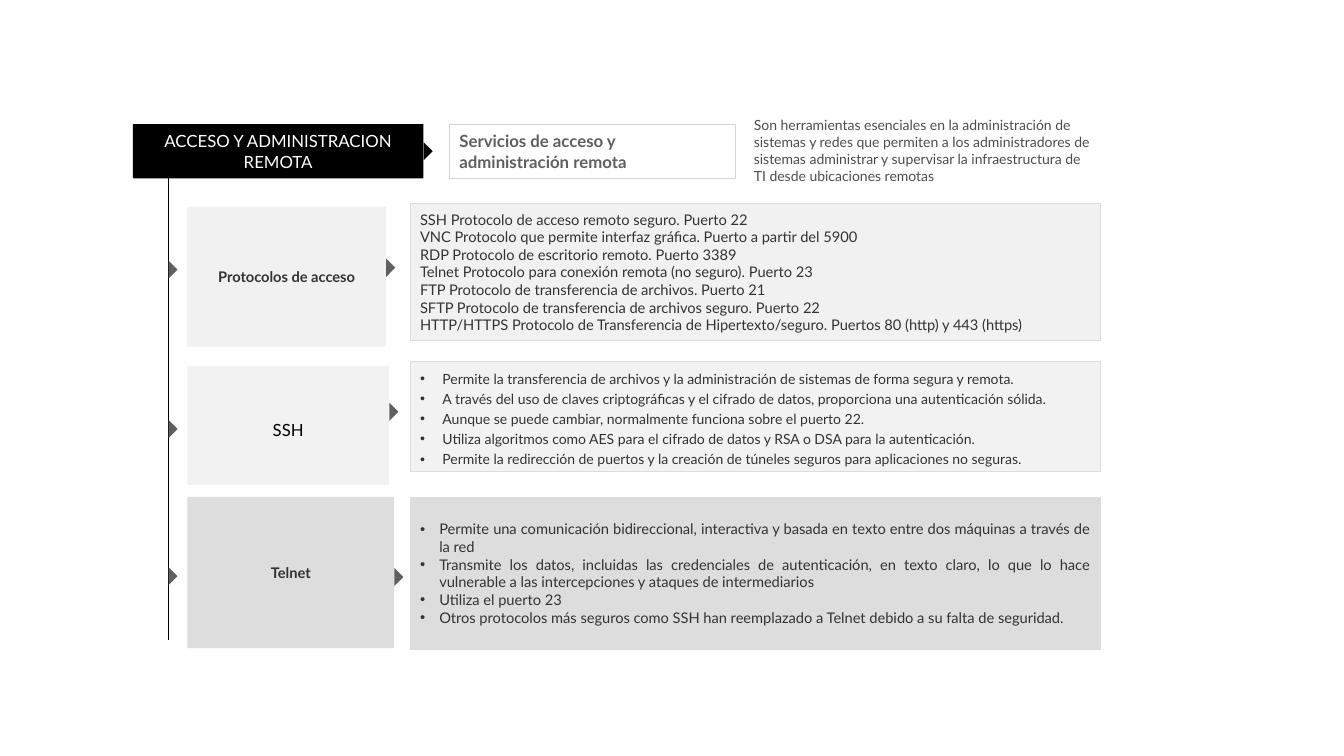
import pptx
import pptx.util
import pptx.dml.color
import pptx.enum.shapes
import pptx.enum.text
from dataclasses import dataclass
from lxml import etree

Pt = pptx.util.Pt
Shape = pptx.enum.shapes.MSO_SHAPE
Align = pptx.enum.text.PP_ALIGN
Anchor = pptx.enum.text.MSO_ANCHOR


@dataclass(frozen=True)
class Theme:
    font: str = "Lato"
    black: str = "000000"
    white: str = "FFFFFF"
    dark: str = "333333"
    soft: str = "4D4D4D"
    gray: str = "5F5F5F"
    frame: str = "D0D6D6"
    edge: str = "DDDDDD"
    pale: str = "F1F1F1"
    light: str = "F2F2F2"
    large: float = 12
    mid: float = 10.5
    small: float = 10


look = Theme()

HEAD = "ACCESO Y ADMINISTRACION REMOTA"
TOPIC = "Servicios de acceso y administración remota"
INTRO = ("Son herramientas esenciales en la administración de sistemas y redes que permiten a los "
         "administradores de sistemas administrar y supervisar la infraestructura de TI desde "
         "ubicaciones remotas")

ROWS = [
    dict(
        label="Protocolos de acceso", fill=look.pale, edge=0.5,
        side=(147.6, 141.8, 100.1), body=(145.4, 97.9), marks=(192.6, 191.2),
        tag=dict(size=look.mid, color=look.dark, bold=True),
        text=dict(size=look.mid),
        lines=[
            "SSH Protocolo de acceso remoto seguro. Puerto 22",
            "VNC Protocolo que permite interfaz gráfica. Puerto a partir del 5900",
            "RDP Protocolo de escritorio remoto. Puerto 3389",
            "Telnet Protocolo para conexión remota (no seguro). Puerto 23",
            "FTP Protocolo de transferencia de archivos. Puerto 21",
            "SFTP Protocolo de transferencia de archivos seguro. Puerto 22",
            "HTTP/HTTPS Protocolo de Transferencia de Hipertexto/seguro. Puertos 80 (http) y 443 (https)",
        ]),
    dict(
        label="SSH", fill=look.light, edge=0.75,
        side=(261.4, 144, 85), body=(258.5, 78.5), marks=(306.4, 294.1),
        tag=dict(size=look.large, color=look.black, space=1.4, wrap=False),
        text=dict(size=look.small, align=Align.JUSTIFY, space=1.2, indent=16, anchor=Anchor.TOP),
        lines=[
            "Permite la transferencia de archivos y la administración de sistemas de forma segura y remota.",
            "A través del uso de claves criptográficas y el cifrado de datos, proporciona una autenticación sólida.",
            "Aunque se puede cambiar, normalmente funciona sobre el puerto 22.",
            "Utiliza algoritmos como AES para el cifrado de datos y RSA o DSA para la autenticación.",
            "Permite la redirección de puertos y la creación de túneles seguros para aplicaciones no seguras.",
        ]),
    dict(
        label="Telnet", fill=look.edge, edge=0.5,
        side=(355, 147.6, 108), body=(355, 108.7), marks=(411.5, 412.2),
        tag=dict(size=look.mid, color=look.dark, bold=True),
        text=dict(size=look.mid, align=Align.JUSTIFY, indent=13.7),
        lines=[
            "Permite una comunicación bidireccional, interactiva y basada en texto entre dos máquinas a través de la red",
            "Transmite los datos, incluidas las credenciales de autenticación, en texto claro, lo que lo hace "
            "vulnerable a las intercepciones y ataques de intermediarios",
            "Utiliza el puerto 23",
            "Otros protocolos más seguros como SSH han reemplazado a Telnet debido a su falta de seguridad.",
        ]),
]

TOP, HIGH = 88.6, 38.9
HEAD_X, HEAD_W = 95, 207.4
STEM_X, STEM_END = 120.2, 457.2
SIDE_X = 133.9
BODY_X, BODY_W = 293, 493.2
MARK_W, MARK_H, MARK_GAP = 13, 6.5, 3.4

deck = pptx.Presentation()
deck.slide_width, deck.slide_height = Pt(960), Pt(540)
slide = deck.slides.add_slide(deck.slide_layouts[6])


def tint(code):
    return pptx.dml.color.RGBColor.from_string(code)


def draw(kind, left, top, wide, high, fill, edge=None, weight=0.75):
    shape = slide.shapes.add_shape(kind, Pt(left), Pt(top), Pt(wide), Pt(high))
    shape.shadow.inherit = False
    shape.fill.solid()
    shape.fill.fore_color.rgb = tint(fill)
    if edge:
        shape.line.color.rgb = tint(edge)
        shape.line.width = Pt(weight)
    else:
        shape.line.fill.background()
    return shape


def write(shape, lines, size, color=look.dark, bold=False, align=Align.LEFT,
          space=1, indent=0, anchor=Anchor.MIDDLE, wrap=True):
    frame = shape.text_frame
    frame.word_wrap = wrap
    frame.vertical_anchor = anchor
    frame.text = "\n".join(lines)
    for para in frame.paragraphs:
        para.alignment = align
        para.line_spacing = space
        para.font.name = look.font
        para.font.size = Pt(size)
        para.font.bold = bold
        para.font.color.rgb = tint(color)
        if indent:
            props = para._p.get_or_add_pPr()
            props.set("marL", str(Pt(indent)))
            props.set("indent", str(-Pt(indent)))
            for tag, name, value in (("buFont", "typeface", "Arial"), ("buChar", "char", "•")):
                node = pptx.oxml.ns.qn("a:" + tag)
                props.insert_element_before(etree.SubElement(props, node, {name: value}), "a:defRPr")


def mark(edge, mid, fill=look.gray):
    arrow = draw(Shape.ISOSCELES_TRIANGLE, edge + MARK_GAP - MARK_W / 2,
                 mid - MARK_H / 2, MARK_W, MARK_H, fill)
    arrow.rotation = 90


stem = slide.shapes.add_connector(pptx.enum.shapes.MSO_CONNECTOR.STRAIGHT,
                                  Pt(STEM_X), Pt(TOP), Pt(STEM_X), Pt(STEM_END))
stem.line.color.rgb = tint(look.black)
stem.line.width = Pt(0.75)
etree.SubElement(stem._element.spPr, pptx.oxml.ns.qn("a:effectLst"))

write(draw(Shape.RECTANGLE, HEAD_X, TOP, HEAD_W, HIGH, look.black),
      [HEAD], look.large, look.white, align=Align.CENTER)
mark(HEAD_X + HEAD_W, TOP + HIGH / 2, look.black)
write(draw(Shape.RECTANGLE, 321.1, TOP, 204.5, HIGH, look.white, look.frame),
      [TOPIC], look.large, look.gray, bold=True)
write(slide.shapes.add_textbox(Pt(531.4), Pt(79.9), Pt(254.9), Pt(55.4)),
      [INTRO], look.small, look.soft)

for row in ROWS:
    top, wide, high = row["side"]
    write(draw(Shape.RECTANGLE, SIDE_X, top, wide, high, row["fill"]),
          [row["label"]], align=Align.CENTER, **row["tag"])
    top, high = row["body"]
    write(draw(Shape.RECTANGLE, BODY_X, top, BODY_W, high, row["fill"], look.edge, row["edge"]),
          row["lines"], **row["text"])
    for edge, mid in zip((STEM_X, SIDE_X + wide), row["marks"]):
        mark(edge, mid)

deck.save("out.pptx")
